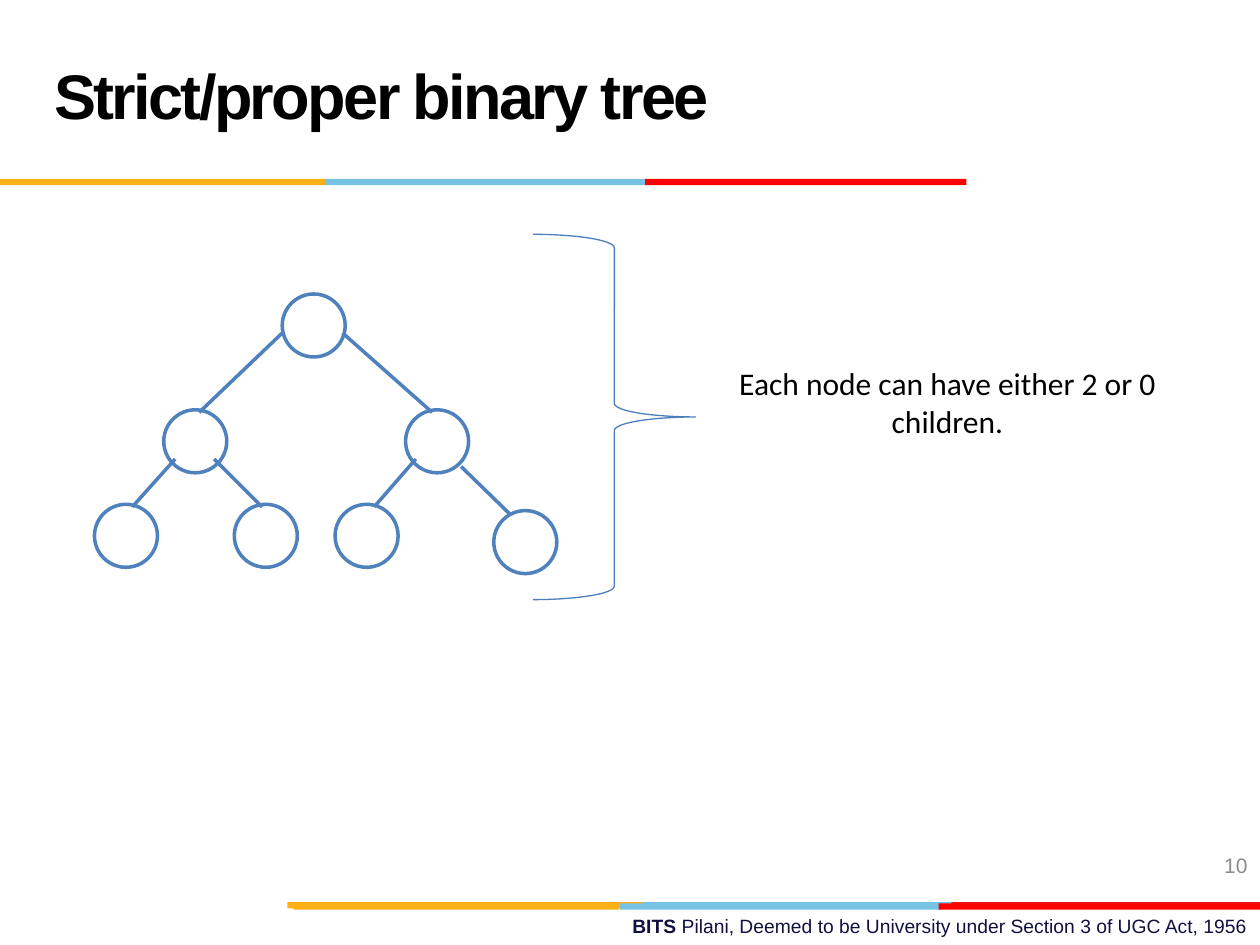
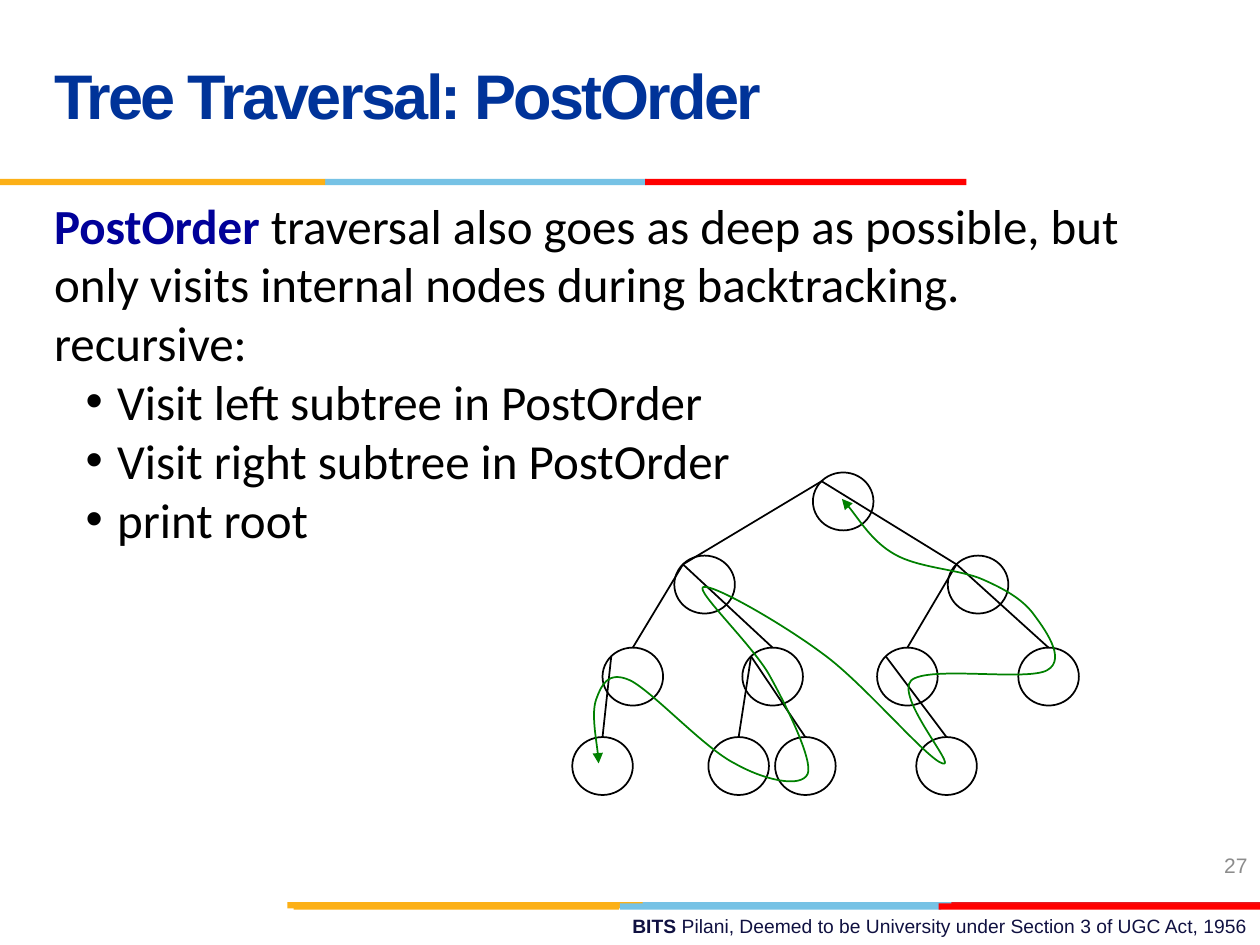
from lxml import etree
from pptx import Presentation
from pptx.dml.color import RGBColor
from pptx.enum import shapes, text
from pptx.oxml.ns import qn
from pptx.util import Pt

BLACK = RGBColor(0x00, 0x00, 0x00)
WHITE = RGBColor(0xFF, 0xFF, 0xFF)
GREY = RGBColor(0x8C, 0x8C, 0x8C)
NAVY = RGBColor(0x10, 0x11, 0x41)
TITLE_BLUE = RGBColor(0x00, 0x33, 0x99)
TERM_BLUE = RGBColor(0x00, 0x00, 0x99)
TREE_BLUE = RGBColor(0x4F, 0x81, 0xBD)
BRACE_BLUE = RGBColor(0x4B, 0x7E, 0xBC)
ROUTE_GREEN = RGBColor(0x00, 0x80, 0x00)
YELLOW = RGBColor(0xFC, 0xB0, 0x17)
SKY = RGBColor(0x76, 0xC2, 0xE5)
CRIMSON = RGBColor(0xE3, 0x1C, 0x24)
RED = RGBColor(0xFF, 0x00, 0x00)

# (left, top, width, colour), back to front
BANDS = [
    (364.3, 515.5, 183.6, SKY), (543.6, 515.5, 176.4, CRIMSON),
    (164.2, 515.5, 203, YELLOW),
    (354.2, 516.2, 183.6, SKY), (167.8, 516.2, 185.8, YELLOW),
    (536.4, 516.2, 183.6, RED),
    (185.8, 102.2, 183.6, SKY), (0, 102.2, 185.8, YELLOW),
    (368.6, 102.2, 183.6, RED),
]
BAND_HEIGHT = 3.6

# Proper tree: node corners and edges, relative to the tree's box
PROPER_NODE = 36
PROPER_NODES = [(107.3, 0), (39.6, 66.2), (177.8, 66.2), (0, 120.2),
                (79.9, 120.2), (137.5, 120.2), (228.2, 123.8)]
PROPER_EDGES = [
    ((59.8, 67.7), (107.3, 22.3)), ((193, 67.7), (141.8, 22.3)),
    ((21.6, 121.7), (46.1, 94.3)), ((95.8, 121.7), (68.4, 94.3)),
    ((159.8, 121.7), (183.6, 94.3)), ((237.6, 126), (209.5, 98.6)),
]

# Traversed tree: name -> left; the length of a name gives its level
TRAVERSED_LEFTS = {
    "T": 137.5, "TL": 58.3, "TR": 214.6,
    "TLL": 17.3, "TLR": 97.2, "TRL": 174.2, "TRR": 254.9,
    "TLLL": 0, "TLRL": 77.8, "TLRR": 115.9, "TRLR": 196.6,
}
LEVEL_TOPS = [0, 47.5, 100.1, 151.2]
TRAVERSED_WIDTH, TRAVERSED_HEIGHT, CORNER = 34.6, 33.1, 5

# Start point, then three Bezier points for each curve
ROUTE = [
    (15.1, 166.3),
    (15.1, 160.6), (10.8, 137.5), (13.7, 129.6),
    (16.6, 121.7), (20.2, 113), (33.1, 118.8),
    (46.1, 125.3), (75.6, 157.7), (92.9, 166.3),
    (109.4, 175.7), (131, 180.7), (134.6, 172.1),
    (137.5, 164.2), (122.4, 133.2), (112.3, 115.2),
    (102.2, 97.9), (69.8, 67), (74.9, 65.5),
    (79.9, 63.4), (120.2, 86.4), (143.3, 103.7),
    (166.3, 120.2), (203, 164.2), (211.7, 166.3),
    (220.3, 169.2), (184.3, 128.2), (193.7, 118.8),
    (203.8, 110.2), (259.9, 119.5), (271.4, 113),
    (283, 106.6), (269.3, 88.6), (262.8, 79.9),
    (256.3, 72), (247.7, 67), (234.7, 61.2),
    (221.8, 55.4), (198, 54.7), (184.3, 46.8),
    (171.4, 39.6), (160.6, 21.6), (154.1, 15.1),
]


def add_text(slide, box, paragraphs, size, font="Arial",
             align=text.PP_ALIGN.LEFT, anchor=text.MSO_ANCHOR.MIDDLE):
    """Each paragraph is a list of (wording, colour, bold) runs."""
    frame = slide.shapes.add_textbox(*map(Pt, box)).text_frame
    frame.word_wrap = True
    frame.vertical_anchor = anchor
    for index, runs in enumerate(paragraphs):
        paragraph = frame.add_paragraph() if index else frame.paragraphs[0]
        paragraph.alignment = align
        for wording, colour, bold in runs:
            run = paragraph.add_run()
            run.text = wording
            run.font.name, run.font.size = font, Pt(size)
            run.font.bold, run.font.color.rgb = bold, colour
    return frame


def add_shape(slide, preset, box, fill=None, line=None, weight=1):
    shape = slide.shapes.add_shape(preset, *map(Pt, box))
    paint(shape, fill, line, weight)
    return shape


def paint(shape, fill, line, weight):
    shape.shadow.inherit = False
    if fill is None:
        shape.fill.background()
    else:
        shape.fill.solid()
        shape.fill.fore_color.rgb = fill
    if line is None:
        shape.line.fill.background()
    else:
        shape.line.color.rgb = line
        shape.line.width = Pt(weight)


def add_edge(slide, left, top, start, end, colour, weight):
    edge = slide.shapes.add_connector(
        shapes.MSO_CONNECTOR.STRAIGHT,
        Pt(left + start[0]), Pt(top + start[1]),
        Pt(left + end[0]), Pt(top + end[1]))
    edge.line.color.rgb = colour
    edge.line.width = Pt(weight)
    etree.SubElement(edge.element.spPr, qn("a:effectLst"))


def add_base(presentation, title, title_colour, number):
    """Start a slide with the footer, bands, title and slide number."""
    slide = presentation.slides.add_slide(presentation.slide_layouts[6])
    add_text(slide, (257.8, 519.1, 462.2, 20.9), [[
        ("BITS ", NAVY, True),
        ("Pilani, Deemed to be University under Section 3 of UGC Act, 1956",
         NAVY, False)]],
        11, align=text.PP_ALIGN.RIGHT, anchor=text.MSO_ANCHOR.TOP)
    for left, top, width, colour in BANDS:
        add_shape(slide, shapes.MSO_SHAPE.RECTANGLE,
                  (left, top, width, BAND_HEIGHT), colour)
    frame = add_text(slide, (23.8, 12.2, 498.2, 90),
                     [[(title, title_colour, True)]], 36)
    frame.paragraphs[0].line_spacing = Pt(36)
    frame.paragraphs[0].runs[0].font._element.set("spc", "-150")
    add_text(slide, (552.2, 480.2, 167.8, 28.8),
             [[(str(number), GREY, False)]], 12, align=text.PP_ALIGN.RIGHT)
    return slide


def add_proper_tree(slide, left, top):
    for x, y in PROPER_NODES:
        add_shape(slide, shapes.MSO_SHAPE.OVAL,
                  (left + x, top + y, PROPER_NODE, PROPER_NODE),
                  WHITE, TREE_BLUE, 2)
    for child, parent in PROPER_EDGES:
        add_edge(slide, left, top, child, parent, TREE_BLUE, 2)


def add_brace_note(slide, left, top, wording):
    add_shape(slide, shapes.MSO_SHAPE.RIGHT_BRACE,
              (left, top, 92.9, 208.8), None, BRACE_BLUE, 0.75)
    add_text(slide, (left + 106.5, top + 28, 260.6, 136),
             [[(wording, BLACK, False)]], 18, "Calibri", text.PP_ALIGN.CENTER)


def add_explanation(slide, box):
    steps = ["Visit left subtree in PostOrder",
             "Visit right subtree in PostOrder", "print root"]
    frame = add_text(slide, box, [
        [("PostOrder", TERM_BLUE, True),
         (" traversal also goes as deep as possible, but only visits "
          "internal nodes during backtracking.", BLACK, False)],
        *[[(line, BLACK, False)] for line in ["recursive:", *steps]],
    ], 28, "Calibri", anchor=text.MSO_ANCHOR.TOP)
    for paragraph in frame.paragraphs[-len(steps):]:
        properties = paragraph._p.get_or_add_pPr()
        properties.set("marL", str(Pt(36)))
        properties.set("indent", str(-Pt(18)))
        etree.SubElement(properties, qn("a:buFont"), typeface="Arial")
        etree.SubElement(properties, qn("a:buChar"), char="•")


def add_traversed_tree(slide, left, top):
    """Edges leave a node at its upper left; they reach the second level at
    the same corner and deeper levels at the top centre."""
    corners = {name: (x, LEVEL_TOPS[len(name) - 1])
               for name, x in TRAVERSED_LEFTS.items()}
    for name, (x, y) in corners.items():
        add_shape(slide, shapes.MSO_SHAPE.OVAL,
                  (left + x, top + y, TRAVERSED_WIDTH, TRAVERSED_HEIGHT),
                  None, BLACK)
        if name == "T":
            continue
        parent_x, parent_y = corners[name[:-1]]
        if len(name) == 2:
            end = (x + CORNER, y + CORNER)
        else:
            end = (x + TRAVERSED_WIDTH / 2, y)
        add_edge(slide, left, top, (parent_x + CORNER, parent_y + CORNER),
                 end, BLACK, 1)


def add_route(slide, left, top):
    points = [(Pt(left + x), Pt(top + y)) for x, y in ROUTE]
    builder = slide.shapes.build_freeform(*points[0])
    builder.add_line_segments(points[1:], close=False)
    route = builder.convert_to_shape()
    paint(route, None, ROUTE_GREEN, 1)
    segments = list(route.element.iter(qn("a:lnTo")))
    for first in range(0, len(segments), 3):
        curve = etree.Element(qn("a:cubicBezTo"))
        segments[first].addprevious(curve)
        for segment in segments[first:first + 3]:
            curve.append(segment[0])
            segment.getparent().remove(segment)
    outline = route.element.spPr.find(qn("a:ln"))
    for tag in ("a:headEnd", "a:tailEnd"):
        etree.SubElement(outline, qn(tag), type="triangle")


def main():
    presentation = Presentation()
    presentation.slide_width, presentation.slide_height = Pt(720), Pt(540)

    slide = add_base(presentation, "Strict/proper binary tree", BLACK, 10)
    add_proper_tree(slide, 54, 168)
    add_brace_note(slide, 304.6, 133.9,
                   "Each node can have either 2 or 0 children.")

    slide = add_base(presentation, "Tree Traversal: PostOrder", TITLE_BLUE, 27)
    add_explanation(slide, (23.8, 108, 666, 216))
    add_traversed_tree(slide, 327, 270)
    add_route(slide, 327, 270)

    presentation.save("out.pptx")


if __name__ == "__main__":
    main()
